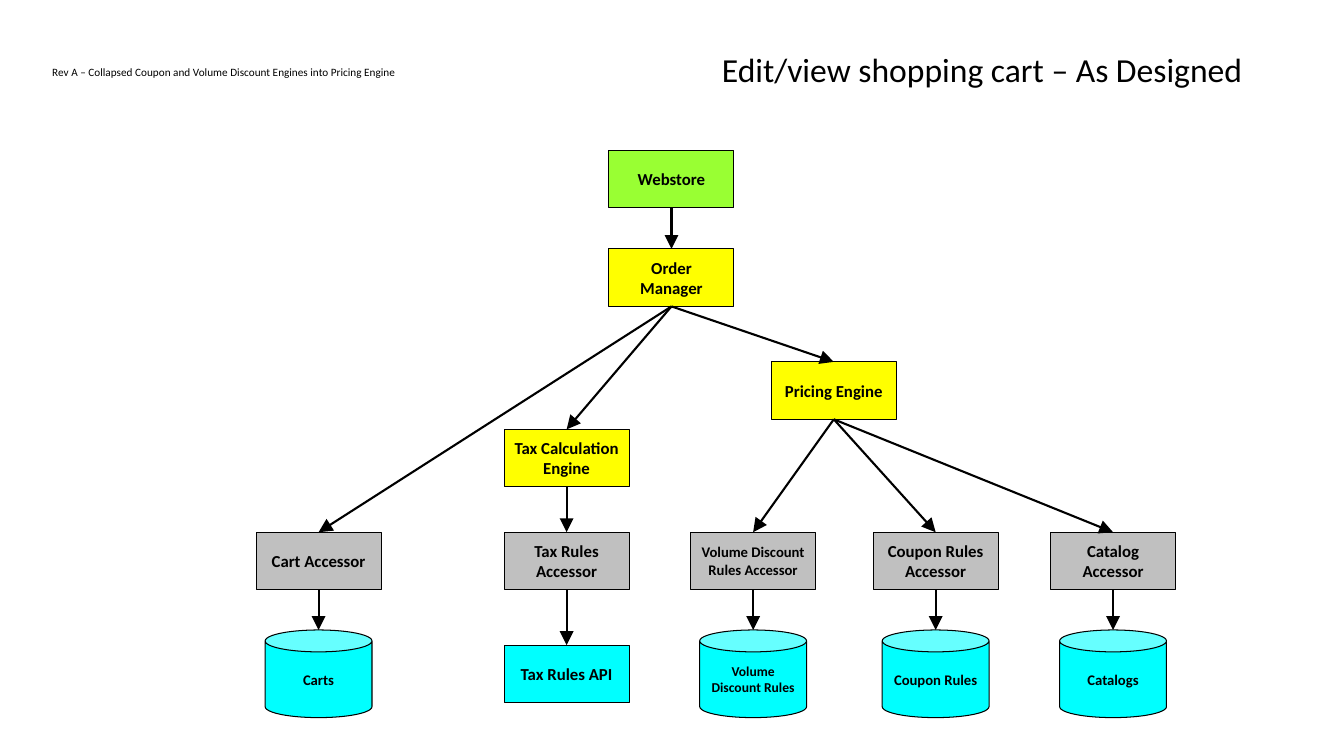
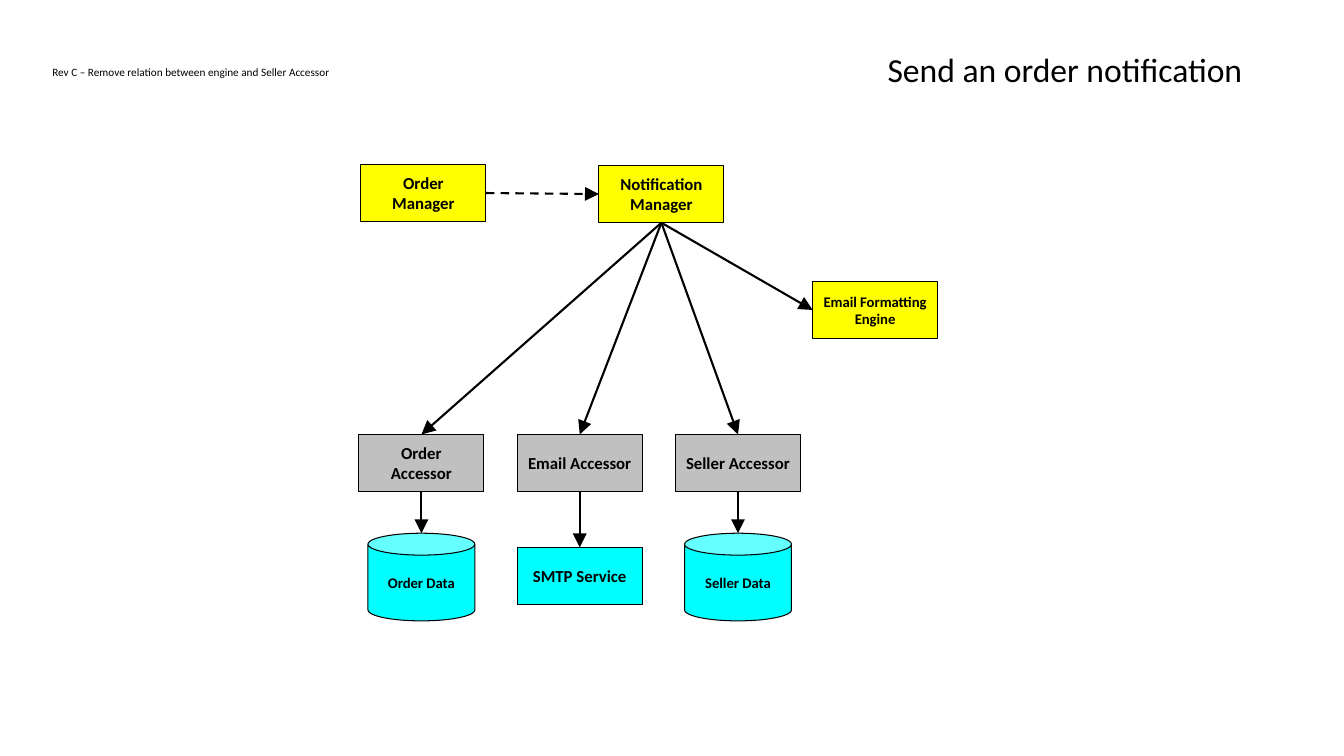
import pptx
import pptx.dml.color
import pptx.enum.dml
import pptx.enum.shapes
import pptx.enum.text
import pptx.oxml
import pptx.oxml.ns
import pptx.util
from pptx.util import Inches

FONT = "Calibri"
BLACK = "000000"
BOX = pptx.enum.shapes.MSO_SHAPE.RECTANGLE
CAN = pptx.enum.shapes.MSO_SHAPE.CAN
MIDDLE = pptx.enum.text.MSO_ANCHOR.MIDDLE
ALIGN = pptx.enum.text.PP_ALIGN
TOP, LEFT, BOTTOM, RIGHT = range(4)

# Role: outline, fill, width, height, text size
ROLES = {
    "client": (BOX, "99FF33", 1.24, 0.57, 12),
    "logic": (BOX, "FFFF00", 1.24, 0.57, 12),
    "long logic": (BOX, "FFFF00", 1.24, 0.57, 10.5),
    "accessor": (BOX, "C0C0C0", 1.24, 0.57, 12),
    "long accessor": (BOX, "C0C0C0", 1.24, 0.57, 10.5),
    "service": (BOX, "00FFFF", 1.24, 0.57, 12),
    "store": (CAN, "00FFFF", 1.06, 0.87, 10.5),
    "long store": (CAN, "00FFFF", 1.06, 0.87, 9.7),
}

# Components: label, role, horizontal centre, top
# Calls: caller, callee, side left, side reached, dashed
DOWN = (BOTTOM, TOP, False)
DIAGRAMS = [
    {
        "title": "Edit/view shopping cart – As Designed",
        "revision": "Rev A – Collapsed Coupon and Volume Discount Engines into Pricing Engine",
        "revision_width": 3.64,
        "components": [
            ("Webstore", "client", 6.66, 1.49),
            ("Order Manager", "logic", 6.66, 2.47),
            ("Pricing Engine", "logic", 8.27, 3.59),
            ("Tax Calculation Engine", "logic", 5.62, 4.26),
            ("Cart Accessor", "accessor", 3.16, 5.28),
            ("Tax Rules Accessor", "accessor", 5.62, 5.28),
            ("Volume Discount Rules Accessor", "long accessor", 7.47, 5.28),
            ("Coupon Rules Accessor", "accessor", 9.28, 5.28),
            ("Catalog Accessor", "accessor", 11.04, 5.28),
            ("Carts", "store", 3.16, 6.25),
            ("Tax Rules API", "service", 5.62, 6.4),
            ("Volume Discount Rules", "long store", 7.47, 6.25),
            ("Coupon Rules", "store", 9.28, 6.25),
            ("Catalogs", "store", 11.04, 6.25),
        ],
        "calls": [
            ("Webstore", "Order Manager", *DOWN),
            ("Order Manager", "Cart Accessor", *DOWN),
            ("Order Manager", "Tax Calculation Engine", *DOWN),
            ("Order Manager", "Pricing Engine", *DOWN),
            ("Tax Calculation Engine", "Tax Rules Accessor", *DOWN),
            ("Pricing Engine", "Volume Discount Rules Accessor", *DOWN),
            ("Pricing Engine", "Coupon Rules Accessor", *DOWN),
            ("Pricing Engine", "Catalog Accessor", *DOWN),
            ("Cart Accessor", "Carts", *DOWN),
            ("Tax Rules Accessor", "Tax Rules API", *DOWN),
            ("Volume Discount Rules Accessor", "Volume Discount Rules", *DOWN),
            ("Coupon Rules Accessor", "Coupon Rules", *DOWN),
            ("Catalog Accessor", "Catalogs", *DOWN),
        ],
    },
    {
        "title": "Send an order notification",
        "revision": "Rev C – Remove relation between engine and Seller Accessor",
        "revision_width": 2.98,
        "components": [
            ("Order Manager", "logic", 4.2, 1.63),
            ("Notification Manager", "logic", 6.56, 1.64),
            ("Email Formatting Engine", "long logic", 8.68, 2.79),
            ("Order Accessor", "accessor", 4.18, 4.31),
            ("Email Accessor", "accessor", 5.75, 4.31),
            ("Seller Accessor", "accessor", 7.32, 4.31),
            ("Order Data", "store", 4.18, 5.29),
            ("SMTP Service", "service", 5.75, 5.43),
            ("Seller Data", "store", 7.32, 5.29),
        ],
        "calls": [
            ("Order Manager", "Notification Manager", RIGHT, LEFT, True),
            ("Notification Manager", "Email Formatting Engine", BOTTOM, LEFT, False),
            ("Notification Manager", "Order Accessor", *DOWN),
            ("Notification Manager", "Email Accessor", *DOWN),
            ("Notification Manager", "Seller Accessor", *DOWN),
            ("Order Accessor", "Order Data", *DOWN),
            ("Email Accessor", "SMTP Service", *DOWN),
            ("Seller Accessor", "Seller Data", *DOWN),
        ],
    },
]


def rgb(value):
    return pptx.dml.color.RGBColor.from_string(value)


def write(shape, text, size, align, bold=False):
    """Fill the shape's only paragraph and return it."""
    paragraph = shape.text_frame.paragraphs[0]
    paragraph.text = text
    paragraph.alignment = align
    paragraph.font.name = FONT
    paragraph.font.size = pptx.util.Pt(size)
    paragraph.font.bold = bold
    paragraph.font.color.rgb = rgb(BLACK)
    return paragraph


deck = pptx.Presentation()
deck.slide_width = Inches(13.33)
deck.slide_height = Inches(7.5)
namespace = pptx.oxml.ns.nsdecls("a")

for diagram in DIAGRAMS:
    slide = deck.slides.add_slide(deck.slide_layouts[6])

    title = slide.shapes.add_textbox(Inches(0.92), Inches(0.4), Inches(11.5), Inches(0.63))
    title.text_frame.word_wrap = True
    title.text_frame.vertical_anchor = MIDDLE
    write(title, diagram["title"], 24, ALIGN.RIGHT).line_spacing = 0.9

    revision = slide.shapes.add_textbox(
        Inches(0.42), Inches(0.6), Inches(diagram["revision_width"]), Inches(0.24))
    revision.text_frame.word_wrap = False
    revision.text_frame.auto_size = pptx.enum.text.MSO_AUTO_SIZE.SHAPE_TO_FIT_TEXT
    write(revision, diagram["revision"], 8, ALIGN.LEFT)

    components = {}
    for label, role, centre, top in diagram["components"]:
        outline, fill, width, height, size = ROLES[role]
        component = slide.shapes.add_shape(
            outline, Inches(centre - width / 2), Inches(top), Inches(width), Inches(height))
        component.shadow.inherit = False
        component.fill.solid()
        component.fill.fore_color.rgb = rgb(fill)
        component.line.color.rgb = rgb(BLACK)
        component.line.width = pptx.util.Pt(0.75)
        frame = component.text_frame
        frame.word_wrap = True
        frame.vertical_anchor = MIDDLE
        frame.margin_left = frame.margin_right = Inches(0.1)
        frame.margin_top = frame.margin_bottom = 0
        write(component, label, size, ALIGN.CENTER, bold=True)
        components[label] = component

    for caller, callee, start_side, end_side, dashed in diagram["calls"]:
        target = components[callee]
        arrow = slide.shapes.add_connector(
            pptx.enum.shapes.MSO_CONNECTOR.STRAIGHT,
            0, 0, target.left + target.width // 2, target.top)
        arrow.begin_connect(components[caller], start_side)
        # The sites of a can are numbered differently, so its arrow ends free.
        if target.auto_shape_type == BOX:
            arrow.end_connect(target, end_side)
        arrow.line.color.rgb = rgb(BLACK)
        arrow.line.width = pptx.util.Pt(1.5)
        if dashed:
            arrow.line.dash_style = pptx.enum.dml.MSO_LINE.DASH
        properties = arrow.element.spPr
        properties.find(pptx.oxml.ns.qn("a:ln")).append(pptx.oxml.parse_xml(
            f'<a:tailEnd {namespace} type="triangle" w="lg" len="lg"/>'))
        properties.append(pptx.oxml.parse_xml(f"<a:effectLst {namespace}/>"))

deck.save("out.pptx")
